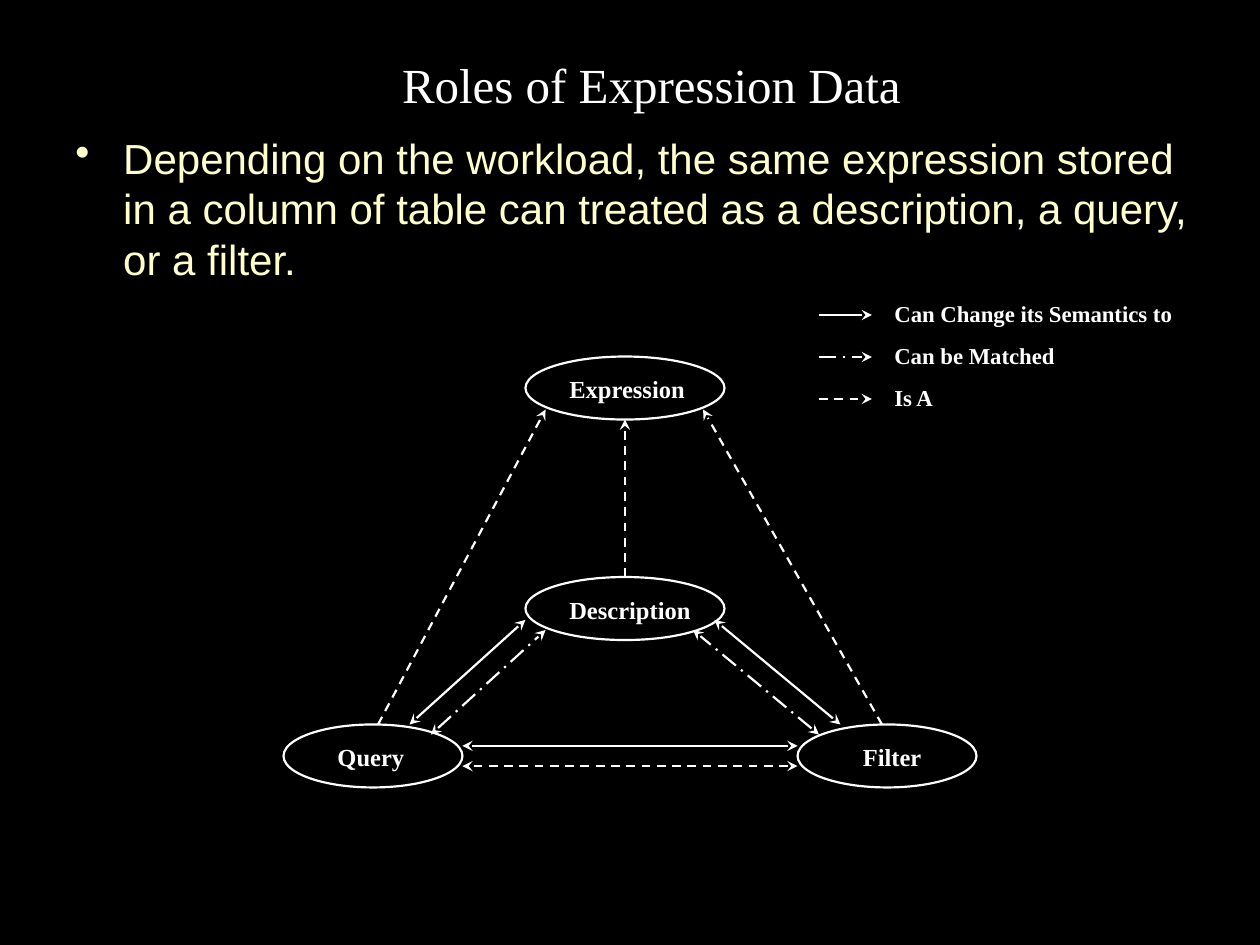
from dataclasses import dataclass
from typing import Any, Optional

from lxml import etree
from pptx import Presentation
from pptx import util as u
from pptx.dml import color
from pptx.enum import dml, shapes, text
from pptx.oxml import ns


@dataclass(frozen=True)
class Theme:
    back: str = "000000"
    ink: str = "FFFFFF"
    cream: str = "FFFFCC"
    serif: str = "Times New Roman"
    sans: str = "Arial"
    title: float = 28
    body: float = 24
    node: float = 14
    key: float = 13
    line: float = 1.25


@dataclass(frozen=True)
class Node:
    name: str
    left: float
    top: float
    width: float
    inset: float
    span: float


@dataclass(frozen=True)
class Link:
    start: tuple[float, float]
    end: tuple[float, float]
    dash: Optional[dml.MSO_LINE] = None
    both: bool = False


@dataclass(frozen=True)
class Key:
    label: str
    width: float
    dash: Optional[dml.MSO_LINE] = None


THEME = Theme()
DASH = dml.MSO_LINE.DASH
DOT = dml.MSO_LINE.LONG_DASH_DOT
HIGH = 0.5

NODES = [
    Node("Expression", 4.17, 2.83, 1.58, 0.25, 1.12),
    Node("Description", 4.17, 4.58, 1.58, 0.25, 1.17),
    Node("Query", 2.25, 5.75, 1.42, 0.33, 0.73),
    Node("Filter", 6.33, 5.75, 1.42, 0.42, 0.67),
]
LINKS = [
    Link((3, 5.75), (4.33, 3.25), DASH),
    Link((7, 5.75), (5.58, 3.25), DASH),
    Link((4.96, 4.58), (4.96, 3.33), DASH),
    Link((6.33, 6.08), (3.67, 6.08), DASH, True),
    Link((3.67, 5.92), (6.33, 5.92), None, True),
    Link((3.25, 5.75), (4.17, 4.92), None, True),
    Link((6.67, 5.75), (5.67, 4.92), None, True),
    Link((6.5, 5.83), (5.5, 5), DOT, True),
    Link((3.42, 5.83), (4.33, 5), DOT, True),
]
KEYS = [
    Key("Can Change its Semantics to", 2.45),
    Key("Can be Matched", 1.47, DOT),
    Key("Is A", 0.52, DASH),
]


def rgb(code: str) -> color.RGBColor:
    return color.RGBColor.from_string(code)


def style(part: Any, size: float, face: str, tint: str, bold: bool = False) -> None:
    look = {"size": u.Pt(size), "name": face, "bold": bold}
    for name, value in look.items():
        setattr(part.font, name, value)
    part.font.color.rgb = rgb(tint)


def stroke(line: Any) -> None:
    line.color.rgb = rgb(THEME.ink)
    line.width = u.Pt(THEME.line)


def label(slide: Any, words: str, left: float, top: float,
          width: float, high: float, size: float) -> None:
    box = slide.shapes.add_textbox(*map(u.Inches, (left, top, width, high)))
    frame = box.text_frame
    frame.word_wrap = False
    frame.text = words
    style(frame.paragraphs[0].runs[0], size, THEME.serif, THEME.ink, True)


def oval(slide: Any, node: Node) -> None:
    place = map(u.Inches, (node.left, node.top, node.width, HIGH))
    shape = slide.shapes.add_shape(shapes.MSO_SHAPE.OVAL, *place)
    shape.shadow.inherit = False
    shape.fill.background()
    stroke(shape.line)
    label(slide, node.name, node.left + node.inset, node.top + 0.09,
          node.span, 0.33, THEME.node)


def arrow(slide: Any, link: Link) -> None:
    ends = map(u.Inches, (*link.start, *link.end))
    wire = slide.shapes.add_connector(shapes.MSO_CONNECTOR.STRAIGHT, *ends)
    stroke(wire.line)
    if link.dash is not None:
        wire.line.dash_style = link.dash
    line = wire.line._get_or_add_ln()
    for tag in ("a:headEnd", "a:tailEnd") if link.both else ("a:tailEnd",):
        etree.SubElement(line, ns.qn(tag), type="stealth")
    etree.SubElement(wire._element.spPr, ns.qn("a:effectLst"))


def legend(slide: Any) -> None:
    for row, key in enumerate(KEYS):
        mid = 2.5 + row / 3
        arrow(slide, Link((6.5, mid), (6.92, mid), key.dash))
        label(slide, key.label, 7, mid - 0.17, key.width, 0.32, THEME.key)


def head(slide: Any) -> None:
    title = slide.shapes.title
    place = {"left": 0.92, "top": 0.33, "width": 8.5, "height": 0.67}
    for name, value in place.items():
        setattr(title, name, u.Inches(value))
    frame = title.text_frame
    frame.text = "Roles of Expression Data"
    frame.vertical_anchor = text.MSO_ANCHOR.MIDDLE
    frame.auto_size = text.MSO_AUTO_SIZE.NONE
    para = frame.paragraphs[0]
    para.alignment = text.PP_ALIGN.CENTER
    style(para.runs[0], THEME.title, THEME.serif, THEME.ink)


def body(slide: Any) -> None:
    box = slide.shapes.add_textbox(*map(u.Inches, (0.5, 1, 9.17, 5.58)))
    frame = box.text_frame
    frame.word_wrap = True
    frame.text = ("Depending on the workload, the same expression stored in a column "
                  "of table can treated as a description, a query, or a filter.")
    para = frame.paragraphs[0]
    props = para._p.get_or_add_pPr()
    indent = u.Inches(0.38)
    for name, value in {"marL": indent, "indent": -indent}.items():
        props.set(name, str(value))
    tint = etree.SubElement(props, ns.qn("a:buClr"))
    etree.SubElement(tint, ns.qn("a:srgbClr"), val=THEME.cream)
    etree.SubElement(props, ns.qn("a:buChar"), char="•")
    style(para.runs[0], THEME.body, THEME.sans, THEME.cream)


def main() -> None:
    deck = Presentation()
    deck.slide_width, deck.slide_height = u.Inches(10), u.Inches(7.5)
    slide = deck.slides.add_slide(deck.slide_layouts[5])
    fill = slide.background.fill
    fill.solid()
    fill.fore_color.rgb = rgb(THEME.back)
    head(slide)
    body(slide)
    for node in NODES:
        oval(slide, node)
    for link in LINKS:
        arrow(slide, link)
    legend(slide)
    deck.save("out.pptx")


if __name__ == "__main__":
    main()
